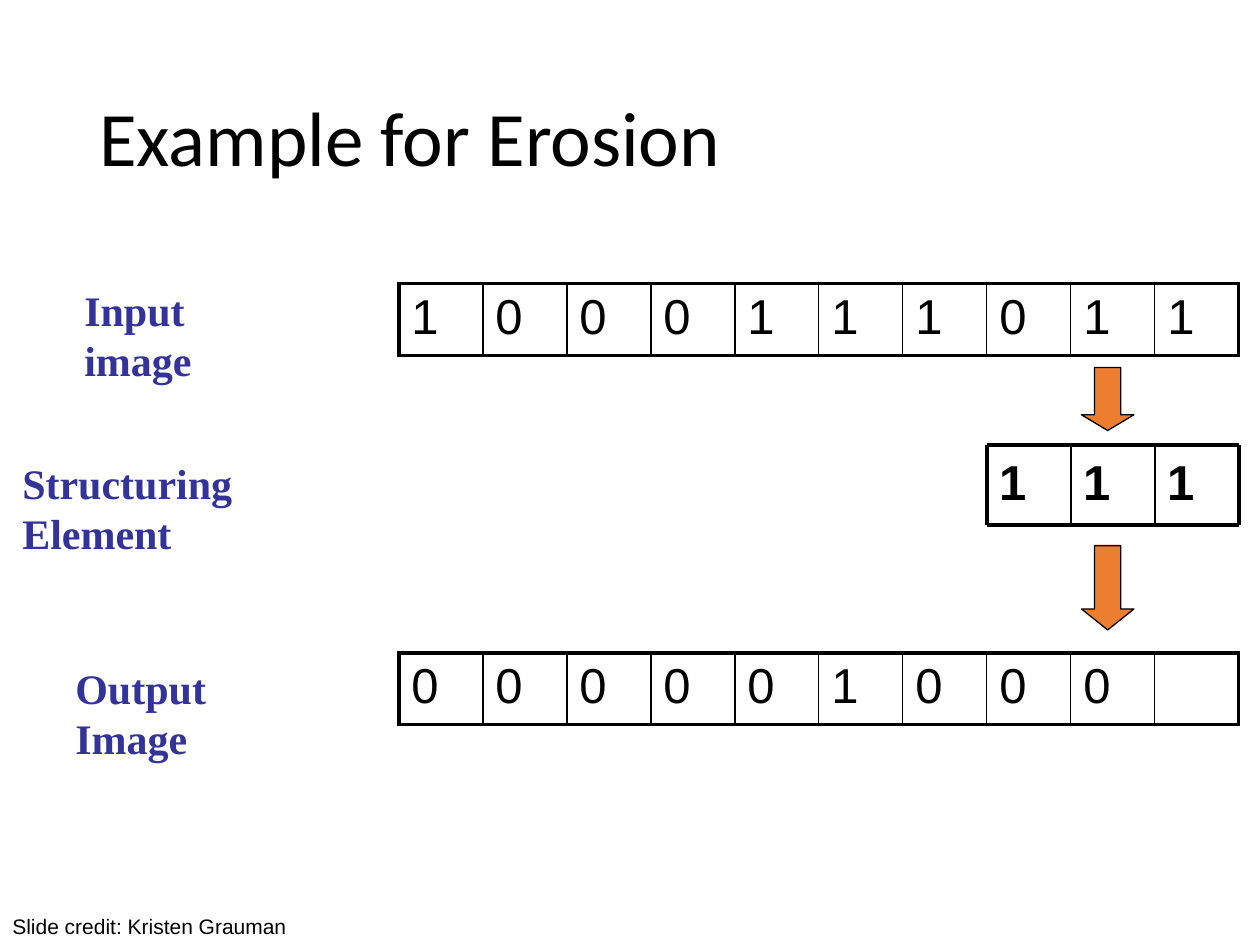
"""Build the erosion example slide: input row, structuring element, output row."""
import pptx
import pptx.util
import pptx.dml.color
import pptx.enum.shapes
import pptx.enum.text
import pptx.oxml.ns
from lxml import etree

Cm, Pt = pptx.util.Cm, pptx.util.Pt
RGBColor = pptx.dml.color.RGBColor
Anchor = pptx.enum.text.MSO_ANCHOR
BLACK = RGBColor(0x00, 0x00, 0x00)
INDIGO = RGBColor(0x33, 0x33, 0x99)
ORANGE = RGBColor(0xED, 0x7D, 0x31)
CELL = 1.693
ROW_LEFT = 8.04
THICK, THIN = 2.25, 1


def write(tf, text, size=28, font="Arial", color=BLACK, bold=False,
          anchor=Anchor.TOP, line_spacing=None):
    tf.word_wrap = True
    tf.vertical_anchor = anchor
    p = tf.paragraphs[0]
    p.text = text
    p.line_spacing = line_spacing
    for r in p.runs:
        r.font.size = Pt(size)
        r.font.name = font
        r.font.bold = bold
        r.font.color.rgb = color


def add_text(s, text, left, top, width, height, **fmt):
    sp = s.shapes.add_textbox(Cm(left), Cm(top), Cm(width), Cm(height))
    write(sp.text_frame, text, **fmt)


def set_borders(cell, **widths):
    pr = cell._tc.get_or_add_tcPr()
    qn = pptx.oxml.ns.qn
    for i, (side, width) in enumerate(widths.items()):
        ln = etree.Element(qn(f"a:ln{side}"), w=str(Pt(width)))
        fill = etree.SubElement(ln, qn("a:solidFill"))
        etree.SubElement(fill, qn("a:srgbClr"), val=str(BLACK))
        pr.insert(i, ln)


def add_pixel_row(s, values, top):
    n = len(values)
    frame = s.shapes.add_table(1, n, Cm(ROW_LEFT), Cm(top), Cm(n * CELL), Cm(1.43))
    table = frame.table
    table.first_row = table.horz_banding = False
    for i, value in enumerate(values):
        table.columns[i].width = Cm(CELL)
        cell = table.cell(0, i)
        cell.fill.background()
        write(cell.text_frame, value)
        set_borders(cell, L=THICK if i == 0 else THIN,
                    R=THICK if i == n - 1 else THIN, T=THICK, B=THICK)


def add_line(s, x1, y1, x2, y2, width):
    line = s.shapes.add_connector(pptx.enum.shapes.MSO_CONNECTOR.STRAIGHT,
                                  Cm(x1), Cm(y1), Cm(x2), Cm(y2))
    line.line.color.rgb = BLACK
    line.line.width = Pt(width)
    etree.SubElement(line._element.spPr, pptx.oxml.ns.qn("a:effectLst"))


def add_structuring_element(s, values, left, top, height):
    n = len(values)
    right, bottom = left + n * CELL, top + height
    for i, value in enumerate(values):
        add_text(s, value, left + i * CELL, top, CELL, height, bold=True)
    for y in (top, bottom):
        add_line(s, left, y, right, y, THICK)
    for i in range(n + 1):
        x = left + i * CELL
        add_line(s, x, top, x, bottom, THICK if i in (0, n) else THIN)


def add_down_arrow(s, top, height, head):
    sp = s.shapes.add_shape(pptx.enum.shapes.MSO_SHAPE.DOWN_ARROW,
                            Cm(21.8), Cm(top), Cm(1.06), Cm(height))
    sp.adjustments[0], sp.adjustments[1] = 0.5, head
    sp.shadow.inherit = False
    sp.fill.solid()
    sp.fill.fore_color.rgb = ORANGE
    sp.line.color.rgb = BLACK
    sp.line.width = Pt(0.75)


def main():
    prs = pptx.Presentation()
    prs.slide_width, prs.slide_height = Cm(25.4), Cm(19.05)
    s = prs.slides.add_slide(prs.slide_layouts[6])
    add_text(s, "Example for Erosion", 1.75, 1.02, 21.9, 3.68, size=44,
             font="Calibri", anchor=Anchor.MIDDLE, line_spacing=0.9)
    add_pixel_row(s, "1000111011", 5.72)
    add_pixel_row(s, [*"000001000", ""], 13.16)
    for text, left, top, width in (("Input\vimage", 1.45, 5.61, 4.57),
                                   ("Structuring\vElement", 0.2, 9.09, 7.34),
                                   ("Output\vImage", 1.27, 13.23, 5.18)):
        add_text(s, text, left, top, width, 1.27, size=24,
                 font="Times New Roman", color=INDIGO, bold=True)
    add_structuring_element(s, "111", ROW_LEFT + 7 * CELL, 8.97, 1.62)
    add_down_arrow(s, 11.0, 1.7, 0.4)
    add_down_arrow(s, 7.41, 1.27, 0.3)
    add_text(s, "Slide credit: Kristen Grauman", 0, 18.29, 11.63, 0.76, size=12)
    prs.save("out.pptx")


if __name__ == "__main__":
    main()
